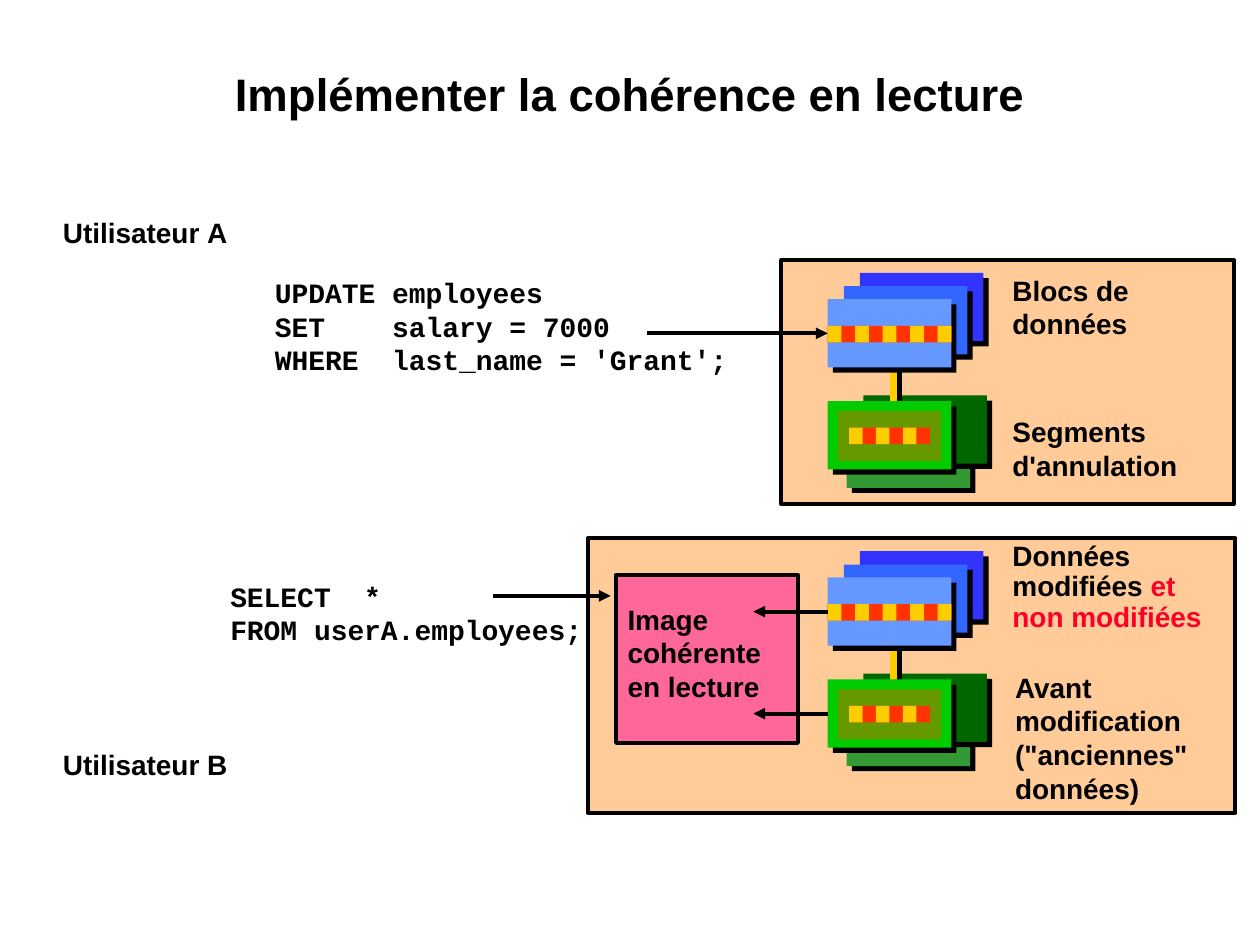
import pptx
import pptx.dml.color
import pptx.enum.shapes
import pptx.enum.text
import pptx.oxml
import pptx.oxml.ns
import pptx.util
from pptx.util import Pt

COLORS = {
    "black": "000000", "panel": "FFCC99", "image": "FF6699", "accent": "FC0128",
    "data_back": "3333FF", "data_middle": "3366FF", "data_front": "6699FF",
    "undo_low": "339933", "undo_back": "006600", "undo_front": "00CC00",
    "undo_inner": "669900", "red": "FF3300", "yellow": "FFCC00",
}
SHADOW = (
    '<a:effectLst %s><a:outerShdw dist="53340" dir="2700000" algn="ctr" rotWithShape="0">'
    '<a:srgbClr val="000000"/></a:outerShdw></a:effectLst>' % pptx.oxml.ns.nsdecls("a")
)
NO_EFFECT = "<a:effectLst %s/>" % pptx.oxml.ns.nsdecls("a")
ARROWHEAD = '<a:tailEnd %s type="triangle" w="med" len="med"/>' % pptx.oxml.ns.nsdecls("a")


def add_rectangle(left, top, width, height, color, outlined=False, shadow=False):
    shape = slide.shapes.add_shape(
        pptx.enum.shapes.MSO_SHAPE.RECTANGLE, Pt(left), Pt(top), Pt(width), Pt(height))
    shape.fill.solid()
    shape.fill.fore_color.rgb = pptx.dml.color.RGBColor.from_string(COLORS[color])
    if outlined:
        shape.line.color.rgb = pptx.dml.color.RGBColor.from_string(COLORS["black"])
        shape.line.width = Pt(2.25)
    else:
        shape.line.fill.background()
    if shadow:
        shape._element.spPr.append(pptx.oxml.parse_xml(SHADOW))
    else:
        shape.shadow.inherit = False
    return shape


def add_line(start, end, color="black", width=2.25, effect=NO_EFFECT, arrow=True):
    connector = slide.shapes.add_connector(
        pptx.enum.shapes.MSO_CONNECTOR.STRAIGHT,
        Pt(start[0]), Pt(start[1]), Pt(end[0]), Pt(end[1]))
    connector.line.color.rgb = pptx.dml.color.RGBColor.from_string(COLORS[color])
    connector.line.width = Pt(width)
    if arrow:
        connector.line._get_or_add_ln().append(pptx.oxml.parse_xml(ARROWHEAD))
    connector._element.spPr.append(pptx.oxml.parse_xml(effect))
    return connector


presentation = pptx.Presentation()
presentation.slide_width, presentation.slide_height = Pt(720), Pt(540)
slide = presentation.slides.add_slide(presentation.slide_layouts[5])

title = slide.shapes.title
title.left, title.top, title.width, title.height = Pt(48), Pt(34.5), Pt(624), Pt(69)
title.text_frame.text = "Implémenter la cohérence en lecture"
title.text_frame.vertical_anchor = pptx.enum.text.MSO_ANCHOR.TOP
title.text_frame.margin_top = Pt(3.5)
title.text_frame.margin_left = title.text_frame.margin_right = Pt(0.7)
title_paragraph = title.text_frame.paragraphs[0]
title_paragraph.alignment = pptx.enum.text.PP_ALIGN.CENTER
title_paragraph.font.name = "Arial"
title_paragraph.font.size = Pt(26)
title_paragraph.font.bold = True
title_paragraph.font.color.rgb = pptx.dml.color.RGBColor.from_string(COLORS["black"])

# Panels for the writer (user A) and the reader (user B)
add_rectangle(446.5, 148.5, 258.5, 139.5, "panel", outlined=True)
add_rectangle(336, 307.5, 370, 157, "panel", outlined=True)
add_rectangle(352, 328.5, 104, 96, "image", outlined=True)

# Data blocks above undo segments, once in each panel
BLOCK_LEFT, BLOCK_WIDTH, BLOCK_HEIGHT = 473, 70.6, 39
data_blocks, undo_blocks = [], []
for stack_top in (156, 315):
    for index, color in enumerate(("data_back", "data_middle")):
        add_rectangle(BLOCK_LEFT + 9.2 * (2 - index), stack_top + 7.6 * index,
                      BLOCK_WIDTH, BLOCK_HEIGHT, color, shadow=True)
    add_rectangle(483.8, stack_top + 83.8, BLOCK_WIDTH, BLOCK_HEIGHT, "undo_low", shadow=True)
    add_rectangle(493.4, stack_top + 70, BLOCK_WIDTH, BLOCK_HEIGHT, "undo_back", shadow=True)
    add_line((510.5, stack_top + 48), (510.5, stack_top + 81), "yellow", 4, SHADOW, arrow=False)
    data_blocks.append(add_rectangle(
        BLOCK_LEFT, stack_top + 15, BLOCK_WIDTH, BLOCK_HEIGHT, "data_front", shadow=True))
    undo_blocks.append(add_rectangle(
        BLOCK_LEFT, stack_top + 73.3, BLOCK_WIDTH, BLOCK_HEIGHT, "undo_front", shadow=True))
    add_rectangle(478.8, stack_top + 78.9, 59, 28.6, "undo_inner")
    for row_left, row_top, row_width, cells in (
            (BLOCK_LEFT, stack_top + 30.2, BLOCK_WIDTH, 9),
            (485.2, stack_top + 88.3, 46.2, 6)):
        add_rectangle(row_left, row_top, row_width, 9.5, "red")
        cell_width = row_width / cells
        for cell in range(0, cells, 2):
            add_rectangle(row_left + cell * cell_width, row_top, cell_width, 9.5, "yellow")

add_line((370, 190.5), (BLOCK_LEFT, 190.5)).end_connect(data_blocks[0], 1)
add_line((281.5, 340.5), (349, 340.5))
for block, center in ((data_blocks[1], 349.5), (undo_blocks[1], 407.8)):
    add_line((BLOCK_LEFT, center), (430.5, center)).begin_connect(block, 1)

# Each label: left, top, width, height, font, alignment, line spacing, paragraphs of (text, color) runs
LEFT, CENTER = pptx.enum.text.PP_ALIGN.LEFT, pptx.enum.text.PP_ALIGN.CENTER
labels = [
    (26.5, 119.5, 113, 26.5, "Arial", CENTER, 1, [[("Utilisateur\u00a0A", "black")]]),
    (26.5, 423.5, 113, 26.5, "Arial", CENTER, 1, [[("Utilisateur\u00a0B", "black")]]),
    (150, 154, 312.5, 65, "Courier New", LEFT, 1, [
        [("UPDATE employees\vSET    salary = 7000", "black")],
        [("WHERE  last_name = 'Grant';", "black")]]),
    (124.5, 327.5, 222.5, 46, "Courier New", LEFT, 1, [
        [("SELECT  *\vFROM userA.employees;", "black")]]),
    (351.5, 340.5, 125.5, 65, "Arial", LEFT, 1, [[("Image\vcohérente\ven lecture", "black")]]),
    (571.5, 152.5, 113, 46, "Arial", LEFT, 1, [[("Blocs de\vdonnées", "black")]]),
    (571.5, 233.5, 113, 46, "Arial", LEFT, 1, [[("Segments\vd'annulation", "black")]]),
    (571.5, 306.5, 128, 59, "Arial", LEFT, 0.9, [
        [("Données\vmodifiées ", "black"), ("et non modifiées", "accent")]]),
    (573, 379.5, 113, 84, "Arial", LEFT, 1, [
        [('Avant modification ("anciennes" données)', "black")]]),
]
for left, top, width, height, font, alignment, spacing, paragraphs in labels:
    frame = slide.shapes.add_textbox(Pt(left), Pt(top), Pt(width), Pt(height)).text_frame
    frame.word_wrap = True
    for index, parts in enumerate(paragraphs):
        paragraph = frame.add_paragraph() if index else frame.paragraphs[0]
        paragraph.alignment = alignment
        paragraph.line_spacing = spacing
        paragraph.font.name = font
        paragraph.font.size = Pt(16)
        paragraph.font.bold = True
        for text, color in parts:
            for line_index, line in enumerate(text.split("\v")):
                if line_index:
                    paragraph.add_line_break()
                run = paragraph.add_run()
                run.text = line
                run.font.color.rgb = pptx.dml.color.RGBColor.from_string(COLORS[color])

presentation.save("out.pptx")
